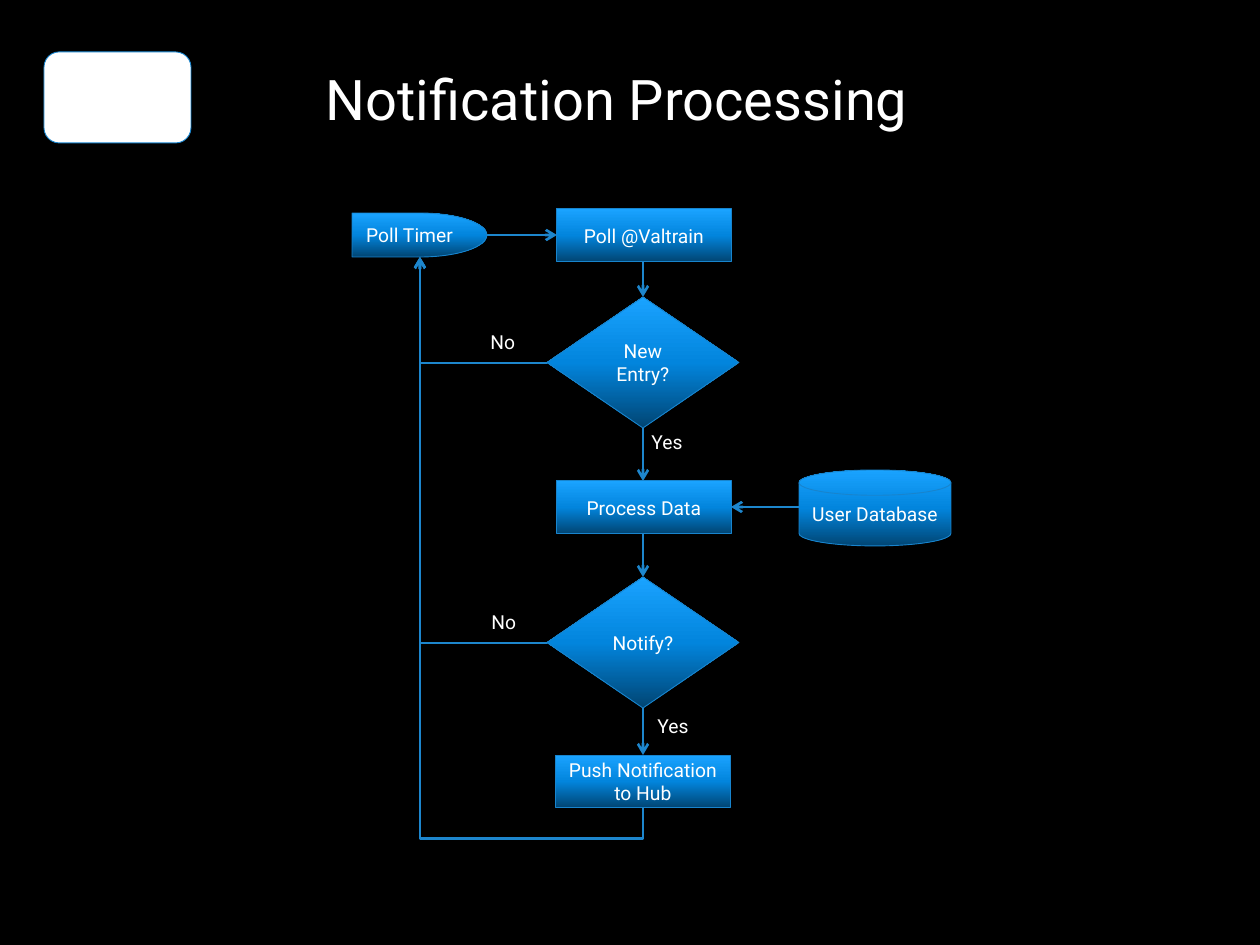
from copy import deepcopy
from dataclasses import dataclass

from lxml.etree import SubElement
from pptx import Presentation
from pptx.dml.color import RGBColor
from pptx.enum.shapes import MSO_CONNECTOR as LINK, MSO_SHAPE as FORM
from pptx.enum.text import MSO_ANCHOR, MSO_AUTO_SIZE, PP_ALIGN
from pptx.oxml.ns import qn
from pptx.util import Emu, Pt


@dataclass(frozen=True)
class Theme:
    font: str = "Roboto"
    back: RGBColor = RGBColor(0, 0, 0)
    text: RGBColor = RGBColor(255, 255, 255)
    edge: RGBColor = RGBColor.from_string("1884CD")
    arrow: RGBColor = RGBColor.from_string("1D86CD")
    shades: tuple = ((0, "014573"), (0.5, "0285DD"), (1, "1AA3FF"))
    title: Pt = Pt(32)
    body: Pt = Pt(11)
    thin: Pt = Pt(0.5)
    thick: Pt = Pt(1.5)


theme = Theme()


def px(*sizes):
    """Turn pixels, 126 to the inch, into EMU."""
    return [Emu(round(size * 914400 / 126)) for size in sizes]


def write(shape, text, size, align):
    frame = shape.text_frame
    frame.word_wrap = True
    frame.text = text
    para = frame.paragraphs[0]
    para.alignment = align
    para.font.name = theme.font
    para.font.size = size
    para.font.color.rgb = theme.text
    return frame


deck = Presentation()
deck.slide_width, deck.slide_height = px(1260, 945)
slide = deck.slides.add_slide(deck.slide_layouts[5])
slide.background.fill.solid()
slide.background.fill.fore_color.rgb = theme.back
shapes = slide.shapes

# Title and corner badge
title = shapes.title
title.left, title.top, title.width, title.height = px(248, 16, 738, 165)
frame = write(title, "Notification Processing", theme.title, PP_ALIGN.CENTER)
frame.vertical_anchor = MSO_ANCHOR.MIDDLE

badge = shapes.add_shape(FORM.ROUNDED_RECTANGLE, *px(44, 52, 147, 91))
badge.shadow.inherit = False
badge.fill.solid()
badge.fill.fore_color.rgb = theme.text
badge.line.color.rgb = theme.edge
badge.line.width = theme.thin

# Flow steps: form, text, left, top, width, height
box, choice = (174, 53), (192, 131)
steps = [
    (FORM.FLOWCHART_DELAY, "Poll Timer", 352, 213, 135, 44),
    (FORM.FLOWCHART_PROCESS, "Poll @Valtrain", 557, 209, *box),
    (FORM.FLOWCHART_DECISION, "New Entry?", 547, 297, *choice),
    (FORM.FLOWCHART_PROCESS, "Process Data", 557, 481, *box),
    (FORM.FLOWCHART_MAGNETIC_DISK, "User Database", 799, 470, 152, 76),
    (FORM.FLOWCHART_DECISION, "Notify?", 547, 577, *choice),
    (FORM.FLOWCHART_PROCESS, "Push Notification to Hub", 556, 755, *box),
]
for form, text, *place in steps:
    step = shapes.add_shape(form, *px(*place))
    step.shadow.inherit = False
    step.line.color.rgb = theme.edge
    step.line.width = theme.thin
    step.fill.gradient()
    step.fill.gradient_angle = 90
    stops = step._element.spPr.find(".//" + qn("a:gsLst"))
    stops.insert(1, deepcopy(stops[0]))
    for stop, (spot, shade) in zip(step.fill.gradient_stops, theme.shades):
        stop.position = spot
        stop.color.rgb = RGBColor.from_string(shade)
    frame = write(step, text, theme.body, PP_ALIGN.CENTER)
    frame.vertical_anchor = MSO_ANCHOR.MIDDLE
    frame.margin_left, frame.margin_right = px(12, 12)

# Branch labels
for text, left, top in [("No", 478, 324), ("Yes", 639, 424),
                        ("No", 479, 604), ("Yes", 645, 708)]:
    label = shapes.add_textbox(*px(left, top, 72, 36))
    frame = write(label, text, theme.body, PP_ALIGN.LEFT)
    frame.auto_size = MSO_AUTO_SIZE.SHAPE_TO_FIT_TEXT

# Straight arrows down the flow, and from the timer and the database
mid, back, timer = 643, 420, 257
links = [
    shapes.add_connector(LINK.STRAIGHT, *px(*ends))
    for ends in [
        (487, 235, 557, 235),
        (mid, 262, mid, 297),
        (mid, 428, mid, 481),
        (mid, 534, mid, 577),
        (799, 507, 731, 507),
        (mid, 708, mid, 755),
    ]
]

# "No" branches: left, then up to the timer
for level in (363, 643):
    bend = shapes.add_connector(LINK.ELBOW, *px(547, level, back, timer))
    bend._element.spPr.find(qn("a:prstGeom")).set("prst", "bentConnector2")
    links.append(bend)

# Return from the last step: laid flat around its centre, then turned 90 degrees
last, drop = 808, 31
long, wide = last - timer, mid - back
left = (mid + back - long) / 2
top = (last + timer - wide) / 2
loop = shapes.add_connector(LINK.ELBOW, *px(left + long, top, left, top + wide))
loop._element.spPr.find(qn("a:xfrm")).set("rot", "5400000")
guides = loop._element.spPr.find(".//" + qn("a:avLst"))
SubElement(guides, qn("a:gd"), name="adj1", fmla=f"val {round(-drop / long * 100000)}")
links.append(loop)

for link in links:
    link.line.color.rgb = theme.arrow
    link.line.width = theme.thick
    SubElement(link.line._get_or_add_ln(), qn("a:tailEnd"), type="arrow")
    SubElement(link._element.spPr, qn("a:effectLst"))

deck.save("out.pptx")
